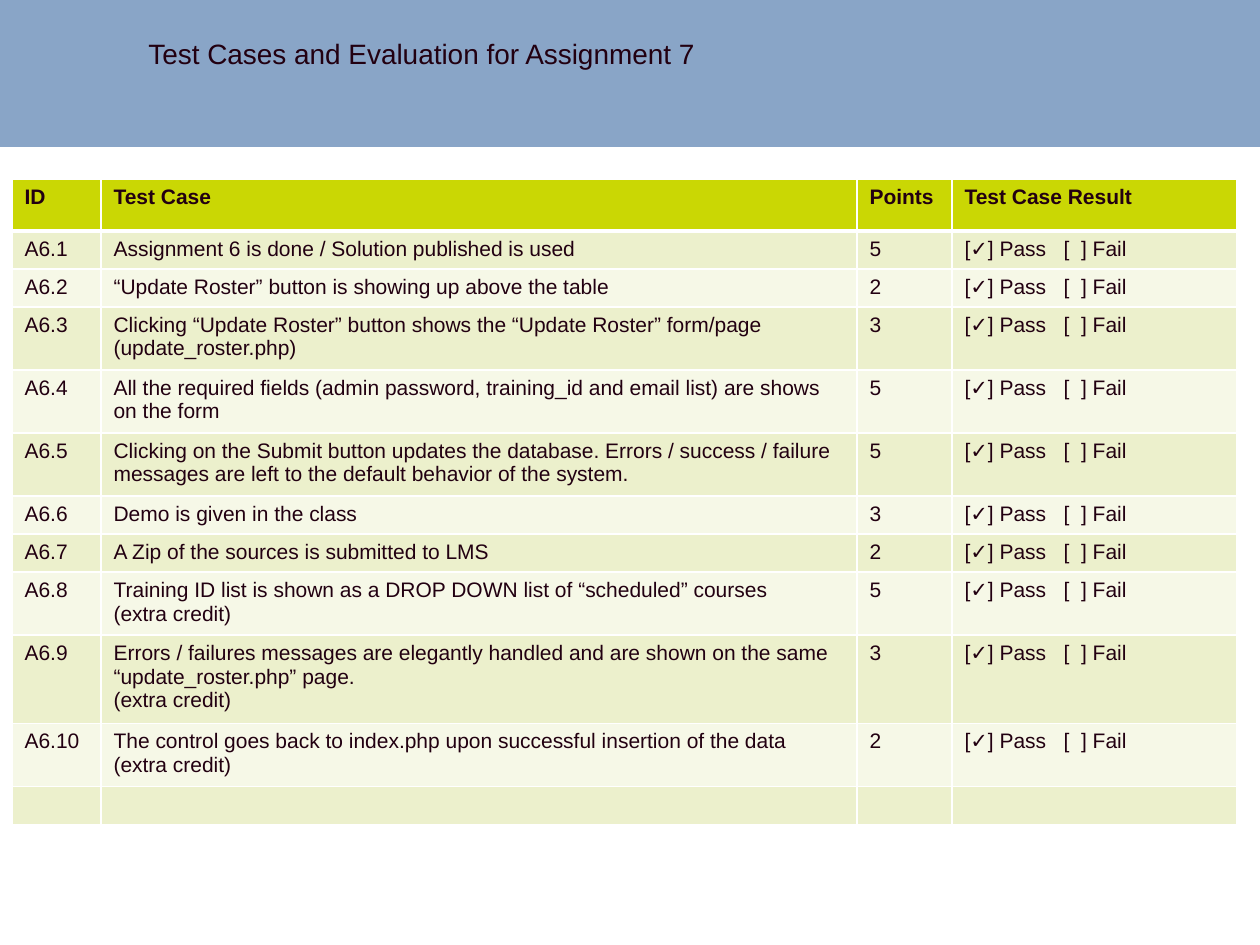
"""Build the slide with the test cases and evaluation for Assignment 7."""
import dataclasses

import lxml.etree
import pptx
import pptx.dml.color
import pptx.enum.shapes
import pptx.enum.text
import pptx.oxml.ns
import pptx.util


@dataclasses.dataclass(frozen=True)
class Theme:
    font: str = "Arial"
    ink: str = "220011"
    band: str = "89A5C7"
    header: str = "CAD704"
    rows: tuple = ("ECF0CC", "F6F8E7")
    border: str = "FFFFFF"
    title_size: int = 16
    table_size: int = 12


PIXEL = 914400 // 126
theme = Theme()
color = pptx.dml.color.RGBColor.from_string
qn = pptx.oxml.ns.qn


def write(frame, text, size=theme.table_size, bold=False):
    """Write each line of text as a paragraph."""
    frame.word_wrap = True
    for index, line in enumerate(text.split("\n")):
        para = frame.add_paragraph() if index else frame.paragraphs[0]
        if not line:
            lxml.etree.SubElement(para._p, qn("a:endParaRPr"), sz=str(size * 100))
            continue
        span = para.add_run()
        span.text = line
        span.font.name = theme.font
        span.font.size = pptx.util.Pt(size)
        span.font.bold = bold
        span.font.color.rgb = color(theme.ink)


def style_cell(cell, fill, top=1, bottom=1):
    """Set the borders, in points, and then the fill of a cell."""
    properties = cell._tc.get_or_add_tcPr()
    for side, width in (("L", 1), ("R", 1), ("T", top), ("B", bottom)):
        line = lxml.etree.SubElement(properties, qn("a:ln" + side), w=str(pptx.util.Pt(width)))
        solid = lxml.etree.SubElement(line, qn("a:solidFill"))
        lxml.etree.SubElement(solid, qn("a:srgbClr"), val=theme.border)
    cell.fill.solid()
    cell.fill.fore_color.rgb = color(fill)


deck = pptx.Presentation()
deck.slide_width = 1260 * PIXEL
deck.slide_height = 945 * PIXEL
page = deck.slides.add_slide(deck.slide_layouts[6])

band = page.shapes.add_shape(
    pptx.enum.shapes.MSO_SHAPE.RECTANGLE, 0, 0, 1260 * PIXEL, 147 * PIXEL)
band.shadow.inherit = False
band.fill.solid()
band.fill.fore_color.rgb = color(theme.band)
band.line.fill.background()

title = page.shapes.add_textbox(136 * PIXEL, 30 * PIXEL, 1102 * PIXEL, 47 * PIXEL)
write(title.text_frame, "Test Cases and Evaluation for Assignment 7", size=theme.title_size)
title.text_frame.auto_size = pptx.enum.text.MSO_AUTO_SIZE.SHAPE_TO_FIT_TEXT

headings = ("ID", "Test Case", "Points", "Test Case Result")
result = "[✓] Pass   [  ] Fail"
cases = [
    ("Assignment 6 is done / Solution published is used", 5, 1),
    ("“Update Roster” button is showing up above the table", 2, 1),
    ("Clicking “Update Roster” button shows the “Update Roster” form/page "
     "(update_roster.php)", 3, 2),
    ("All the required fields (admin password, training_id and email list) "
     "are shows on the form", 5, 2),
    ("Clicking on the Submit button updates the database. Errors / success / failure "
     "messages are left to the default behavior of the system.", 5, 2),
    ("Demo is given in the class", 3, 1),
    ("A Zip of the sources is submitted to LMS", 2, 1),
    ("Training ID list is shown as a DROP DOWN list of “scheduled” courses\n"
     "(extra credit)", 5, 2),
    ("Errors / failures messages are elegantly handled and are shown on the same "
     "“update_roster.php” page. \n(extra credit)", 3, 3),
    ("The control goes back to index.php upon successful insertion of the data\n"
     "(extra credit)", 2, 2),
]
rows = [headings]
rows += [(f"A6.{number}", text, str(points), result)
         for number, (text, points, lines) in enumerate(cases, 1)]
rows.append(("",) * len(headings))
heights = [52] + [13 + 25 * lines for text, points, lines in cases] + [38]
widths = (89, 756, 95, 285)

table = page.shapes.add_table(
    len(rows), len(widths), 12 * PIXEL, 179 * PIXEL,
    sum(widths) * PIXEL, sum(heights) * PIXEL).table
for column, width in zip(table.columns, widths):
    column.width = width * PIXEL
for index, (texts, height) in enumerate(zip(rows, heights)):
    table.rows[index].height = height * PIXEL
    is_header = index == 0
    fill = theme.header if is_header else theme.rows[(index - 1) % 2]
    for cell, text in zip(table.rows[index].cells, texts):
        write(cell.text_frame, text, bold=is_header)
        style_cell(cell, fill, top=3 if index == 1 else 1, bottom=3 if is_header else 1)

deck.save("out.pptx")
